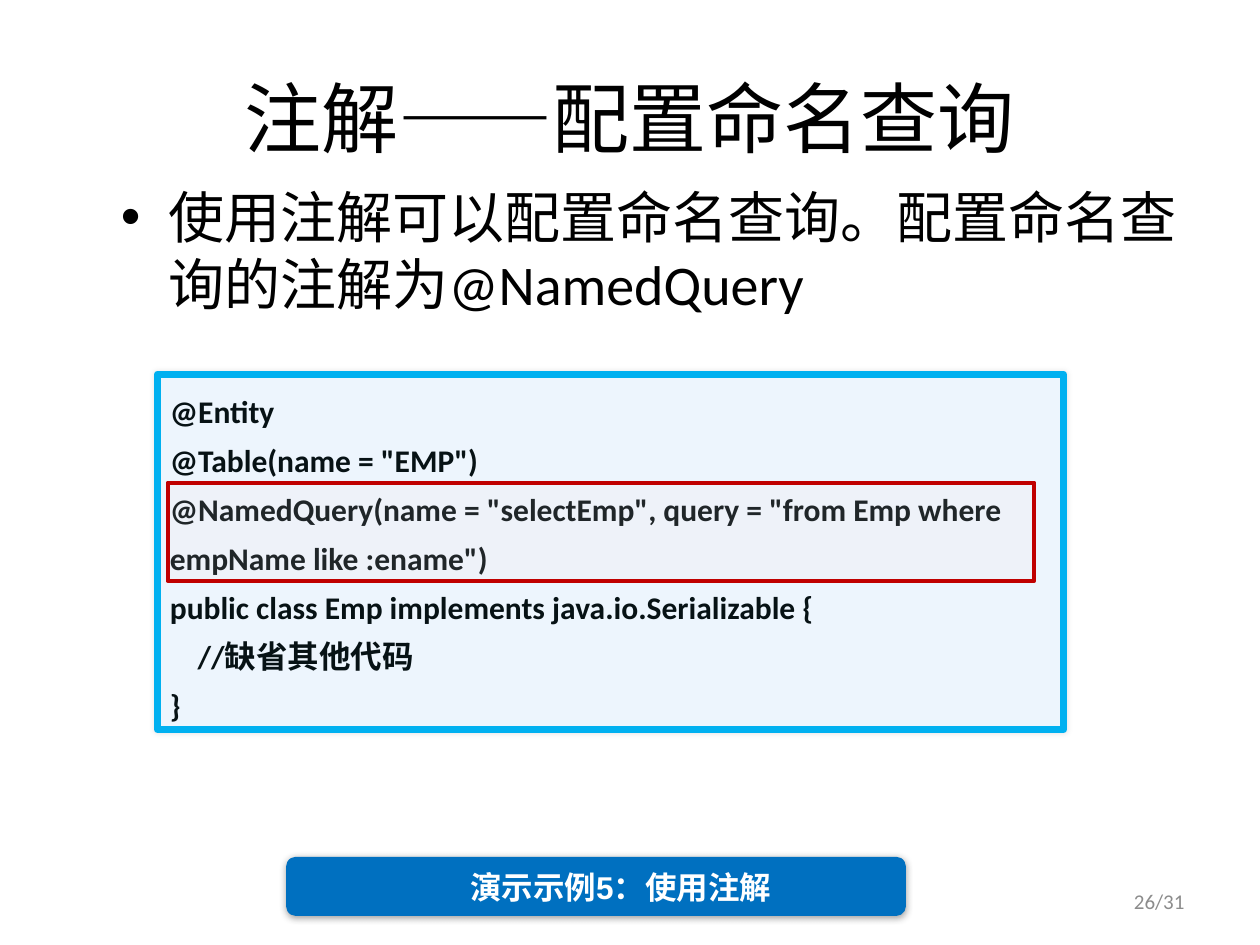
from typing import NamedTuple, Optional

from lxml.etree import SubElement
from pptx import Presentation
from pptx.dml.color import RGBColor
from pptx.enum.shapes import MSO_SHAPE as Preset
from pptx.enum.text import MSO_ANCHOR as Anchor, PP_ALIGN as Align
from pptx.oxml.ns import qn
from pptx.util import Inches, Pt


class Frame(NamedTuple):
    left: float
    top: float
    width: float
    height: float


class Shadow(NamedTuple):
    color: str
    opacity: int  # percent
    blur: float  # points
    distance: float  # points
    angle: int  # degrees


class CodeLine(NamedTuple):
    text: str
    indent: float = 0


def color(value: str) -> RGBColor:
    return RGBColor.from_string(value)


def place(box, frame: Frame) -> None:
    for name, value in frame._asdict().items():
        setattr(box, name, Inches(value))


def add_alpha(color_element, percent: int) -> None:
    SubElement(color_element, qn("a:alpha"), val=str(percent * 1000))


def add_panel(parent, preset, frame: Frame, fill: str,
              line: Optional[str] = None, weight: float = 0,
              shadow: Optional[Shadow] = None):
    box = parent.shapes.add_shape(preset, *map(Inches, frame))
    box.fill.solid()
    box.fill.fore_color.rgb = color(fill)
    if line:
        box.line.color.rgb = color(line)
        box.line.width = Pt(weight)
    else:
        box.line.fill.background()
    box.shadow.inherit = False
    if shadow:
        effects = box._element.spPr.find(qn("a:effectLst"))
        outer = SubElement(
            effects, qn("a:outerShdw"), blurRad=str(Pt(shadow.blur)),
            dist=str(Pt(shadow.distance)), dir=str(shadow.angle * 60000),
            algn="ctr", rotWithShape="0")
        tint = SubElement(outer, qn("a:srgbClr"), val=shadow.color)
        add_alpha(tint, shadow.opacity)
    return box


def write(para, text: str, text_color: str, align=Align.LEFT, **font) -> None:
    para.alignment = align
    span = para.add_run()
    span.text = text
    span.font.color.rgb = color(text_color)
    for name, value in font.items():
        setattr(span.font, name, value)


def add_label(parent, frame: Frame, text: str, text_color: str, align, **font):
    box = parent.shapes.add_textbox(*map(Inches, frame))
    box.text_frame.word_wrap = True
    box.text_frame.vertical_anchor = Anchor.MIDDLE
    write(box.text_frame.paragraphs[0], text, text_color, align, **font)


CODE = [
    CodeLine("@Entity"),
    CodeLine('@Table(name = "EMP")'),
    CodeLine('@NamedQuery(name = "selectEmp", query = "from Emp where '
             'empName like :ename")'),
    CodeLine("public class Emp implements java.io.Serializable {"),
    CodeLine("//缺省其他代码", 0.22),
    CodeLine("}"),
]


def main() -> None:
    deck = Presentation()
    deck.slide_width, deck.slide_height = Inches(10), Inches(7.5)
    page = deck.slides.add_slide(deck.slide_layouts[1])

    # Title and bullet
    title, body = page.placeholders
    place(title, Frame(0.5, 0.3, 9, 1.25))
    write(title.text_frame.paragraphs[0], "注解——配置命名查询", "000000",
          Align.CENTER, size=Pt(44), name="Calibri")
    place(body, Frame(0.86, 1.4, 8.75, 4.7))
    write(body.text_frame.paragraphs[0],
          "使用注解可以配置命名查询。配置命名查询的注解为@NamedQuery",
          "000000", size=Pt(32), name="Calibri")

    # Page number
    add_label(page, Frame(7.17, 6.95, 2.33, 0.4), "26/31", "8C8C8C",
              Align.RIGHT, size=Pt(12), name="Calibri")

    # Code listing
    listing = add_panel(page, Preset.ROUNDED_RECTANGLE,
                        Frame(1.25, 2.97, 7.19, 2.82), "EDF5FD", "00B0F0", 4,
                        Shadow("000000", 10, 3, 0, 0))
    listing.adjustments[0] = 0
    frame = listing.text_frame
    frame.word_wrap = True
    frame.vertical_anchor = Anchor.TOP
    for index, line in enumerate(CODE):
        para = frame.add_paragraph() if index else frame.paragraphs[0]
        para.line_spacing = 1.3
        if line.indent:
            para._p.get_or_add_pPr().set("marL", str(Inches(line.indent)))
        write(para, line.text, "071215", size=Pt(18), name="Calibri", bold=True)

    # Highlight around the named query
    highlight = add_panel(page, Preset.RECTANGLE, Frame(1.33, 3.83, 6.88, 0.78),
                          "FFDDDD", "C00000", 2.25)
    fill = highlight._element.spPr.find(qn("a:solidFill"))
    add_alpha(fill[0], 10)

    # Demo banner
    banner = page.shapes.add_group_shape()
    add_panel(banner, Preset.FLOWCHART_ALTERNATE_PROCESS,
              Frame(2.27, 6.8, 4.92, 0.47), "0070C0",
              shadow=Shadow("262626", 43, 4, 1, 90))
    add_label(banner, Frame(2.9, 6.84, 4.05, 0.4), "演示示例5：使用注解",
              "FFFFFF", Align.CENTER, size=Pt(18), name="Arial", bold=True)

    deck.save("out.pptx")


if __name__ == "__main__":
    main()
